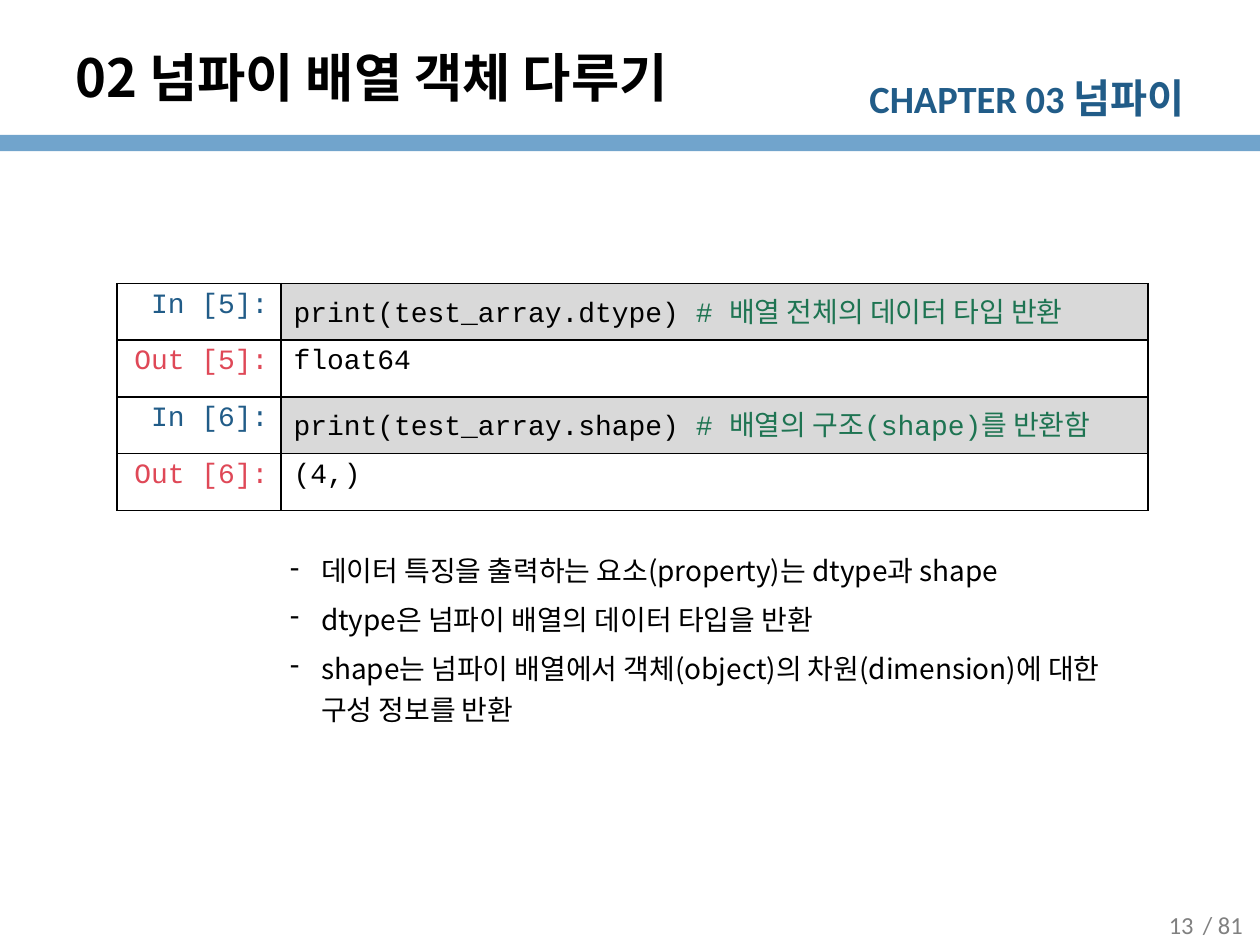
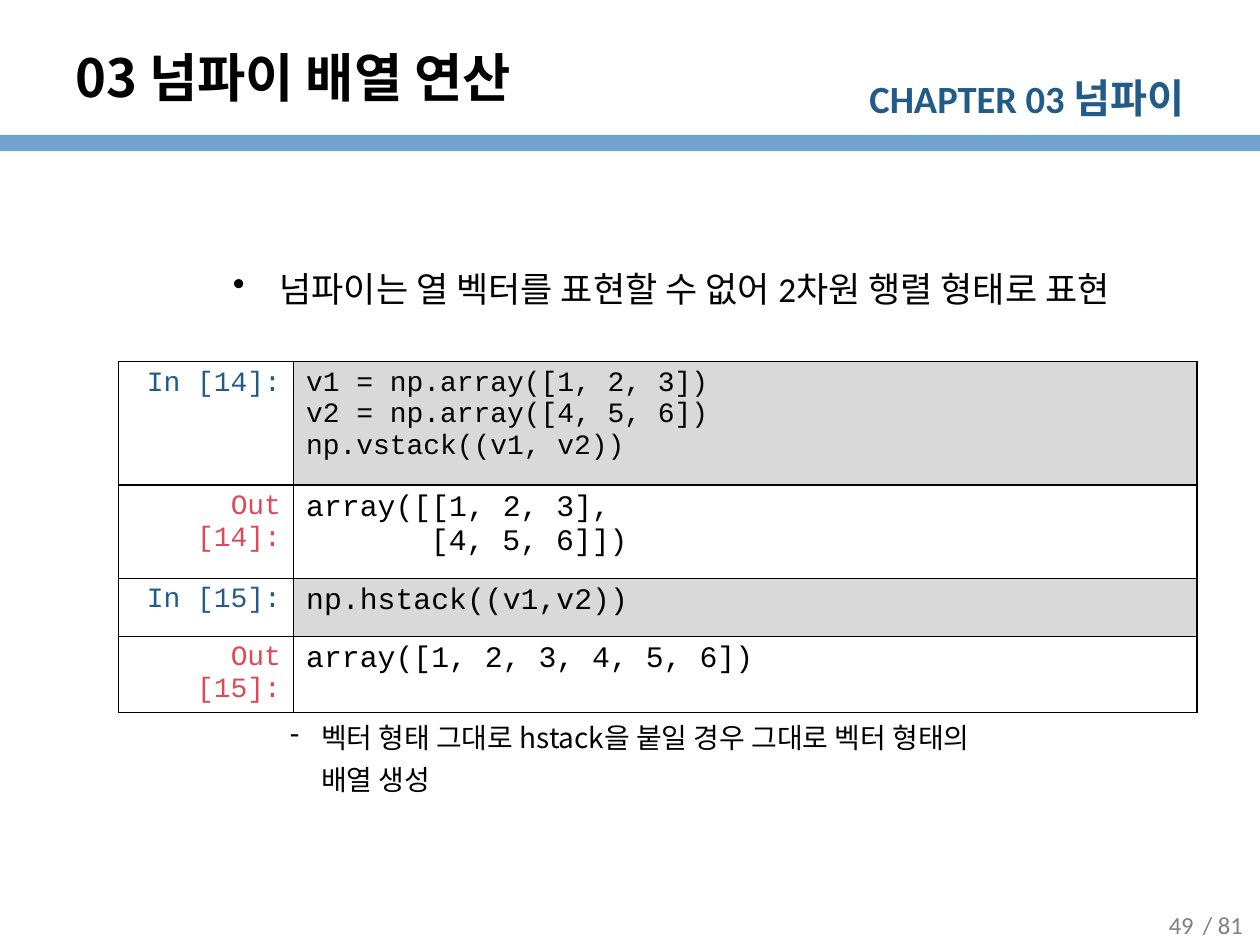
from dataclasses import dataclass

from lxml.etree import SubElement
from pptx import Presentation
from pptx.dml.color import RGBColor
from pptx.enum.shapes import MSO_SHAPE
from pptx.enum.text import MSO_ANCHOR, PP_ALIGN
from pptx.oxml import parse_xml
from pptx.oxml.ns import nsdecls, qn
from pptx.util import Inches, Pt

# Content: code rows are (label, lines, size), a line is (code, comment, indent)
SLIDES = [
    dict(
        title="02 넘파이 배열 객체 다루기", page="13",
        table=dict(at=(0.93, 2.25), cols=(1.3, 6.88), rows=(0.45,) * 4, cells=[
            ("In [5]:", [("print(test_array.dtype) ", "# 배열 전체의 데이터 타입 반환", 0)], 16),
            ("Out [5]:", [("float64", "", 0)], 16),
            ("In [6]:", [("print(test_array.shape) ", "# 배열의 구조(shape)를 반환함", 0)], 16),
            ("Out [6]:", [("(4,)", "", 0)], 16),
        ]),
        notes=dict(at=(0.7, 4.28, 8.58, 1.54), lines=[
            "데이터 특징을 출력하는 요소(property)는 dtype과 shape",
            "dtype은 넘파이 배열의 데이터 타입을 반환",
            "shape는 넘파이 배열에서 객체(object)의 차원(dimension)에 대한 구성 정보를 반환",
        ]),
    ),
    dict(
        title="03 넘파이 배열 연산", page="49",
        lead="넘파이는 열 벡터를 표현할 수 없어 2차원 행렬 형태로 표현",
        table=dict(at=(0.94, 2.87), cols=(1.39, 7.17), rows=(0.98, 0.74, 0.46, 0.46), cells=[
            ("In [14]:", [("v1 = np.array([1, 2, 3])", "", 0),
                          ("v2 = np.array([4, 5, 6])", "", 0),
                          ("np.vstack((v1, v2))", "", 0)], 16),
            ("Out [14]:", [("array([[1, 2, 3],", "", 0), ("[4, 5, 6]])", "", 0.99)], 17),
            ("In [15]:", [("np.hstack((v1,v2))", "", 0)], 17),
            ("Out [15]:", [("array([1, 2, 3, 4, 5, 6])", "", 0)], 17),
        ]),
        notes=dict(at=(0.7, 5.6, 7.4, 0.75), lines=[
            "벡터 형태 그대로 hstack을 붙일 경우 그대로 벡터 형태의 배열 생성",
        ]),
    ),
]
CHAPTER = ("CHAPTER 03 ", "넘파이")
TOTAL = "/ 81"


@dataclass(frozen=True)
class Theme:
    black: str = "000000"
    navy: str = "215C88"
    band: str = "71A4CC"
    red: str = "DF4857"
    green: str = "1E7452"
    gray: str = "808080"
    code_fill: str = "D9D9D9"
    sans: str = "Calibri"
    korean: str = "Noto Sans CJK KR"
    mono: str = "Courier New"
    title: int = 30
    chapter: int = 22
    chapter_ko: int = 23
    lead: int = 20
    body: int = 16
    footer: int = 14


T = Theme()


# Text helpers
def add_run(p, text, size, font, color, bold=False, kern=True):
    r = p.add_run()
    r.text = text
    for name, value in dict(size=Pt(size), name=font, bold=bold).items():
        setattr(r.font, name, value)
    r.font.color.rgb = RGBColor.from_string(color)
    SubElement(r.font._element, qn("a:ea")).set("typeface", T.korean)
    if not kern:
        r.font._element.set("kern", "0")


def add_box(s, at, anchor=MSO_ANCHOR.TOP):
    tf = s.shapes.add_textbox(*map(Inches, at)).text_frame
    tf.word_wrap = True
    tf.vertical_anchor = anchor
    return tf


def paragraphs(tf, items):
    for i, item in enumerate(items):
        yield (tf.add_paragraph() if i else tf.paragraphs[0]), item


def indent(p, left, first=0):
    pPr = p._p.get_or_add_pPr()
    pPr.set("marL", str(Inches(left)))
    pPr.set("indent", str(Inches(first)))
    return pPr


def add_bullets(s, at, lines, char, left, hang, before, size, font):
    for p, line in paragraphs(add_box(s, at), lines):
        p.line_spacing = 1.25
        p.space_before = Pt(before)
        pPr = indent(p, left, -hang)
        SubElement(SubElement(pPr, qn("a:buClr")), qn("a:srgbClr")).set("val", T.black)
        SubElement(pPr, qn("a:buChar")).set("char", char)
        add_run(p, line, size, font, T.black, kern=False)


# Band, chapter name, page number and title
def add_frame(s, title, page):
    band = s.shapes.add_shape(MSO_SHAPE.RECTANGLE, 0, Inches(1.07), Inches(10), Inches(0.13))
    band.shadow.inherit = False
    band.fill.solid()
    band.fill.fore_color.rgb = RGBColor.from_string(T.band)
    band.line.fill.background()

    p = add_box(s, (6.62, 0.53, 2.88, 0.48)).paragraphs[0]
    p.alignment = PP_ALIGN.RIGHT
    for text, size in zip(CHAPTER, (T.chapter, T.chapter_ko)):
        add_run(p, text, size, T.sans, T.navy, True)

    for left, text in ((9.35, TOTAL), (9.02, page)):
        p = add_box(s, (left, 7.14, 0.71, 0.39), MSO_ANCHOR.MIDDLE).paragraphs[0]
        p.alignment = PP_ALIGN.CENTER
        add_run(p, text, T.footer, T.sans, T.gray)

    p = add_box(s, (0.5, 0.3, 7.83, 0.62), MSO_ANCHOR.MIDDLE).paragraphs[0]
    add_run(p, title, T.title, T.korean, T.black, True, kern=False)


# Notebook table
def style_cell(cell, fill=None):
    cell.margin_bottom = Inches(0.02)
    if fill:
        cell.fill.solid()
        cell.fill.fore_color.rgb = RGBColor.from_string(fill)
    else:
        cell.fill.background()
    tcPr = cell._tc.get_or_add_tcPr()
    for i, side in enumerate("LRTB"):
        tcPr.insert(i, parse_xml(
            f'<a:ln{side} {nsdecls("a")} w="{Pt(1)}"><a:solidFill>'
            f'<a:srgbClr val="{T.black}"/></a:solidFill></a:ln{side}>'))


def add_notebook(s, at, cols, rows, cells):
    size = (sum(cols), sum(rows))
    tbl = s.shapes.add_table(len(rows), len(cols), *map(Inches, at + size)).table
    tbl.first_row = tbl.horz_banding = False
    for col, width in zip(tbl.columns, cols):
        col.width = Inches(width)
    for row, height, (label, lines, code_size) in zip(tbl.rows, rows, cells):
        row.height = Inches(height)
        is_input = label.startswith("In")
        head, code = row.cells
        style_cell(head)
        style_cell(code, T.code_fill if is_input else None)
        p = head.text_frame.paragraphs[0]
        p.alignment = PP_ALIGN.RIGHT
        add_run(p, label, T.body, T.mono, T.navy if is_input else T.red)
        for p, (text, comment, left) in paragraphs(code.text_frame, lines):
            indent(p, left)
            add_run(p, text, code_size, T.mono, T.black)
            if comment:
                add_run(p, comment, code_size, T.mono, T.green)


def main():
    prs = Presentation()
    prs.slide_width, prs.slide_height = Inches(10), Inches(7.5)
    for item in SLIDES:
        s = prs.slides.add_slide(prs.slide_layouts[6])
        add_frame(s, item["title"], item["page"])
        if "lead" in item:
            add_bullets(s, (0.5, 1.99, 9, 0.6), [item["lead"]], "•",
                        1.62, 0.37, 4, T.lead, T.sans)
        add_notebook(s, **item["table"])
        add_bullets(s, item["notes"]["at"], item["notes"]["lines"], "‐",
                    1.75, 0.25, 3.8, T.body, T.korean)
    prs.save("out.pptx")


if __name__ == "__main__":
    main()
